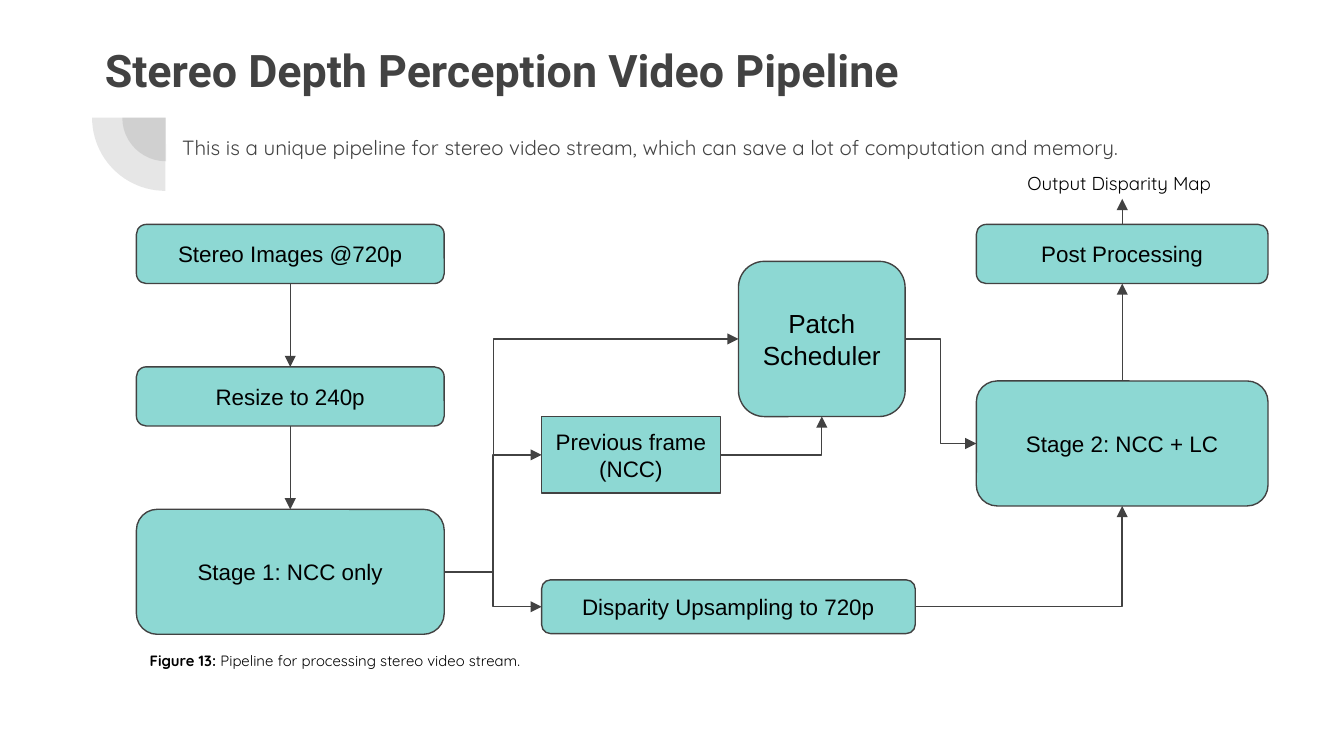
"""Build the slide on the stereo depth perception video pipeline."""
from lxml import etree
from pptx import Presentation
from pptx import util as u
from pptx.dml.color import RGBColor
from pptx.enum import shapes, text
from pptx.oxml.ns import qn

PX = 4572
COLORS = {"ink": "424242", "box": "8DD8D3", "label": "000000"}
TOP, LEFT, BOTTOM, RIGHT = range(4)
ROUND = shapes.MSO_SHAPE.ROUNDED_RECTANGLE
RECT = shapes.MSO_SHAPE.RECTANGLE


def px(*lengths):
    """Turn px lengths into EMU."""
    return [u.Emu(length * PX) for length in lengths]


def place(box, left, top, width, height):
    """Give the EMU frame of a part set relative to its region."""
    return px(box[0] + left, box[1] + top, width, height)


def color(name):
    """Look up a palette colour."""
    return RGBColor.from_string(COLORS[name])


def write(shape, content, *, size, font="Arial", ink="label", bold=False, lead="",
          align=text.PP_ALIGN.LEFT, anchor=text.MSO_ANCHOR.TOP, line=1.0, after=0):
    """Fill a shape with formatted text, one paragraph per line, after an optional bold lead."""
    frame = shape.text_frame
    frame.word_wrap = True
    frame.auto_size = text.MSO_AUTO_SIZE.NONE
    frame.vertical_anchor = anchor
    frame.margin_left = frame.margin_right = frame.margin_top = frame.margin_bottom = u.Inches(0.1)
    for index, words in enumerate(content.split("\n")):
        paragraph = frame.add_paragraph() if index else frame.paragraphs[0]
        properties = paragraph._p.get_or_add_pPr()
        properties.set("marL", "0")
        properties.set("indent", "0")
        etree.SubElement(properties, qn("a:buNone"))
        paragraph.alignment = align
        paragraph.line_spacing = line
        paragraph.space_before = u.Pt(0)
        paragraph.space_after = u.Pt(after)
        for part, heavy in ((lead, True), (words, bold)):
            if part:
                run = paragraph.add_run()
                run.text = part
                run.font.size = u.Pt(size)
                run.font.name = font
                run.font.bold = heavy
                run.font.color.rgb = color(ink)


def add_pie(slide, box, left, top, size):
    """Draw one translucent quarter disc."""
    pie = slide.shapes.add_shape(shapes.MSO_SHAPE.PIE, *place(box, left, top, size, size))
    pie.adjustments[0], pie.adjustments[1] = 107.93, 162
    pie.rotation = 270
    pie.shadow.inherit = False
    pie.line.fill.background()
    pie.fill.solid()
    pie.fill.fore_color.rgb = color("ink")
    tint = pie._element.spPr.find(qn("a:solidFill"))[0]
    etree.SubElement(tint, qn("a:alpha"), val="13000")


def add_step(slide, box, content, left, top, width, height, kind=ROUND, size=12):
    """Draw one labelled step of the pipeline."""
    step = slide.shapes.add_shape(kind, *place(box, left, top, width, height))
    step.shadow.inherit = False
    step.fill.solid()
    step.fill.fore_color.rgb = color("box")
    step.line.color.rgb = color("ink")
    step.line.width = u.Pt(0.75)
    write(step, content, size=size, align=text.PP_ALIGN.CENTER, anchor=text.MSO_ANCHOR.MIDDLE)
    return step


def add_label(slide, box, content, left, top, width, height, **style):
    """Add a free text label."""
    label = slide.shapes.add_textbox(*place(box, left, top, width, height))
    write(label, content, font="Quicksand", **style)


def add_arrow(slide, source, source_side, target=None, target_side=None,
              bent=False, corner=False, lane=None, rise=0):
    """Draw an arrow from a step to another step, or straight up by rise px."""
    kind = shapes.MSO_CONNECTOR.ELBOW if bent or corner else shapes.MSO_CONNECTOR.STRAIGHT
    arrow = slide.shapes.add_connector(kind, 0, 0, 0, 0)
    arrow.begin_connect(source, source_side)
    if target is None:
        arrow.end_x, arrow.end_y = arrow.begin_x, arrow.begin_y - px(rise)[0]
    else:
        arrow.end_connect(target, target_side)
    arrow.line.color.rgb = color("ink")
    arrow.line.width = u.Pt(0.75)
    properties = arrow._element.spPr
    etree.SubElement(properties.find(qn("a:ln")), qn("a:tailEnd"), type="triangle")
    etree.SubElement(properties, qn("a:effectLst"))
    geometry = properties.find(qn("a:prstGeom"))
    if corner:
        geometry.set("prst", "bentConnector2")
    if lane:
        share = round(lane * PX / arrow.width * 100000)
        etree.SubElement(geometry.find(qn("a:avLst")), qn("a:gd"), name="adj1", fmla=f"val {share}")


def build_header(slide, box):
    """Place the quarter discs, title and summary."""
    add_pie(slide, box, 46, 66, 130)
    add_pie(slide, box, 1, 22, 218)
    title, summary = slide.shapes.title, slide.placeholders[1]
    title.left, title.top, title.width, title.height = place(box, 0, 0, 1652, 132)
    write(title, "Stereo Depth Perception Video Pipeline", size=24, font="Roboto",
          ink="ink", bold=True)
    summary.left, summary.top, summary.width, summary.height = place(box, 115, 132, 1638, 114)
    write(summary, "This is a unique pipeline for stereo video stream, which can save "
          "a lot of computation and memory.", size=11, font="Quicksand", ink="ink",
          align=text.PP_ALIGN.JUSTIFY, line=1.15, after=16)


def build_pipeline(slide, box):
    """Place the steps, arrows and labels of the flow diagram."""
    right_column, right_width = 1250, 434
    middle_column = 603
    left_steps = (("Stereo Images @720p", 88), ("Resize to 240p", 88), ("Stage 1: NCC only", 186))
    images, resize, stage_1 = [
        add_step(slide, box, name, 0, row * 212, 458, height)
        for row, (name, height) in enumerate(left_steps)]
    previous = add_step(slide, box, "Previous frame (NCC)", middle_column, 286, 266, 114, kind=RECT)
    upsampling = add_step(slide, box, "Disparity Upsampling to 720p", middle_column, 529, 556, 80)
    scheduler = add_step(slide, box, "Patch\nScheduler", 896, 55, 248, 231, size=14)
    stage_2 = add_step(slide, box, "Stage 2: NCC + LC", right_column, 233, right_width, 186)
    post = add_step(slide, box, "Post Processing", right_column, 0, right_width, 88)

    add_arrow(slide, images, BOTTOM, resize, TOP)
    add_arrow(slide, resize, BOTTOM, stage_1, TOP)
    for branch in (upsampling, previous, scheduler):
        add_arrow(slide, stage_1, RIGHT, branch, LEFT, bent=True, lane=73)
    add_arrow(slide, previous, RIGHT, scheduler, BOTTOM, corner=True)
    add_arrow(slide, upsampling, RIGHT, stage_2, BOTTOM, corner=True)
    add_arrow(slide, scheduler, RIGHT, stage_2, LEFT, bent=True)
    add_arrow(slide, stage_2, TOP, post, BOTTOM)
    add_arrow(slide, post, TOP, rise=38)

    add_label(slide, box, "Output Disparity Map", 1306, -98, 370, 70, size=10)
    add_label(slide, box, " Pipeline for processing stereo video stream.", 0, 616, 742, 84,
              size=8, lead="Figure 13:")


def main():
    """Build and save the deck."""
    deck = Presentation()
    deck.slide_width, deck.slide_height = px(2000, 1125)
    slide = deck.slides.add_slide(deck.slide_layouts[1])
    build_header(slide, (136, 44))
    build_pipeline(slide, (203, 334))
    deck.save("out.pptx")


if __name__ == "__main__":
    main()
